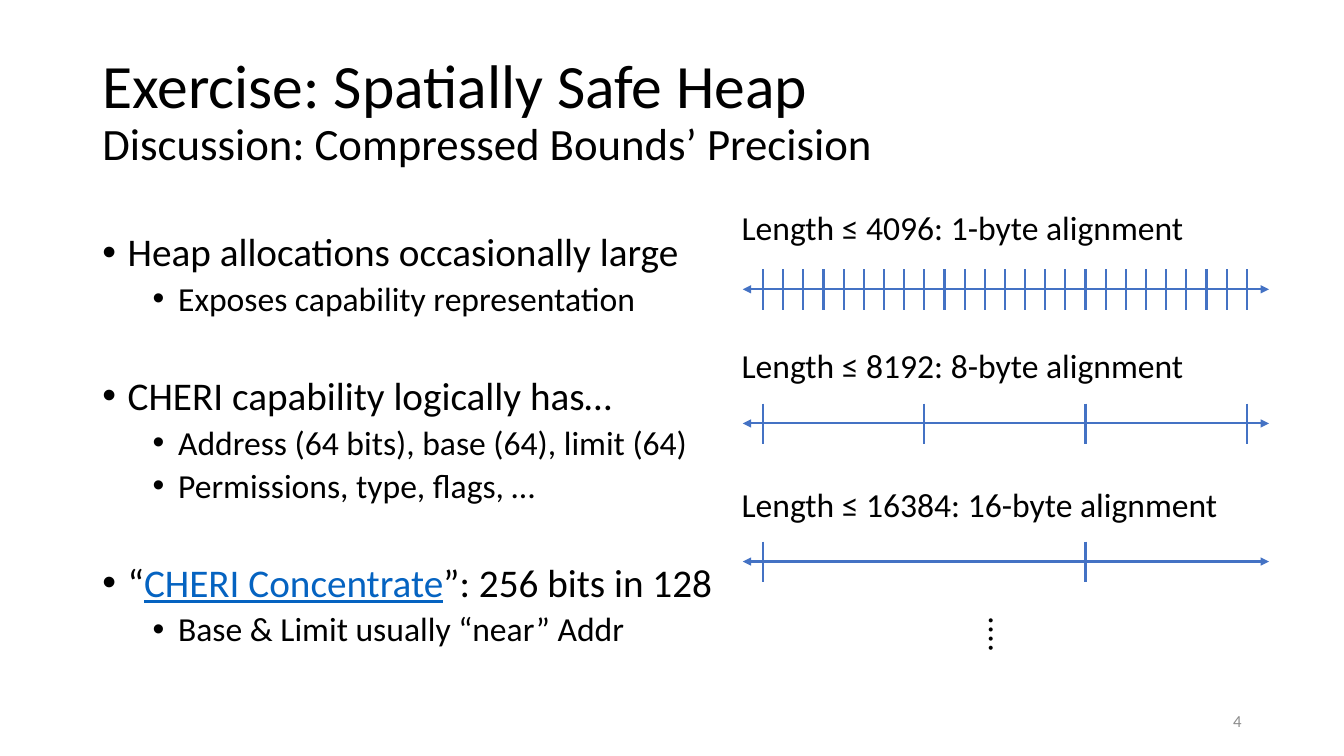
import pptx
import pptx.util
import pptx.dml.color
import pptx.enum.shapes
import pptx.enum.text
from lxml import etree

Cm, Pt = pptx.util.Cm, pptx.util.Pt
ALIGN = pptx.enum.text.PP_ALIGN
ANCHOR = pptx.enum.text.MSO_ANCHOR
NS = "{http://schemas.openxmlformats.org/drawingml/2006/main}"

COLORS = {"text": "000000", "line": "4472C4", "link": "0563C1", "page": "8C8C8C"}

# Bullet levels: font size, indent and spacing
LEVELS = [
    {"size": 28, "left": 0.64, "before": 10},
    {"size": 24, "left": 1.91, "before": 5},
]
HANG = 0.64
GAP = 31.5  # extra points above each later topic

TOPICS = [
    ([("Heap allocations occasionally large", "text")],
     ["Exposes capability representation"]),
    ([("CHERI capability logically has…", "text")],
     ["Address (64 bits), base (64), limit (64)", "Permissions, type, flags, …"]),
    ([("“", "text"), ("CHERI Concentrate", "link"), ("”: 256 bits in 128", "text")],
     ["Base & Limit usually “near” Addr"]),
]

# Scales: label, label top, axis height, units between ticks
SCALES = [
    ("Length ≤ 4096: 1-byte alignment", 0, 2.21, 1),
    ("Length ≤ 8192: 8-byte alignment", 3.48, 5.59, 8),
    ("Length ≤ 16384: 16-byte alignment", 6.98, 9.07, 16),
]
UNITS = 24


def tint(name):
    return pptx.dml.color.RGBColor.from_string(COLORS[name])


def apply(item, style):
    for key, value in style.items():
        setattr(item, key, value)


def add_run(para, text, size, color="text"):
    run = para.add_run()
    run.text = text
    apply(run.font, {"size": Pt(size), "name": "Calibri", "underline": color == "link"})
    run.font.color.rgb = tint(color)


def add_frame(slide, box, **style):
    frame = slide.shapes.add_textbox(*map(Cm, box)).text_frame
    apply(frame, {"word_wrap": True, **style})
    return frame


def add_line(slide, start, end, arrows=False):
    line = slide.shapes.add_connector(
        pptx.enum.shapes.MSO_CONNECTOR.STRAIGHT, *map(Cm, start + end))
    line.line.width = Pt(1.5)
    line.line.color.rgb = tint("line")
    if arrows:
        for tag in ("headEnd", "tailEnd"):
            etree.SubElement(line.line._get_or_add_ln(), NS + tag, type="triangle")
    etree.SubElement(line._element.spPr, NS + "effectLst")


def add_title(slide, box):
    para = add_frame(slide, box, vertical_anchor=ANCHOR.MIDDLE).paragraphs[0]
    para.line_spacing = 0.9
    add_run(para, "Exercise: Spatially Safe Heap", 44)
    para.add_line_break()
    add_run(para, "Discussion: Compressed Bounds’ Precision", 32)


def add_topics(slide, box):
    frame = add_frame(slide, box, vertical_anchor=ANCHOR.MIDDLE)
    rows = []
    for head, subs in TOPICS:
        rows.append((0, head, GAP if rows else 0))
        rows += [(1, [(sub, "text")], 0) for sub in subs]
    for index, (depth, runs, gap) in enumerate(rows):
        para = frame.add_paragraph() if index else frame.paragraphs[0]
        form = LEVELS[depth]
        apply(para, {"level": depth, "line_spacing": 0.9,
                     "space_before": Pt(form["before"] + gap)})
        props = para._p.get_or_add_pPr()
        props.set("marL", str(Cm(form["left"])))
        props.set("indent", str(-Cm(HANG)))
        etree.SubElement(props, NS + "buFont", typeface="Arial")
        etree.SubElement(props, NS + "buChar", char="•")
        for text, color in runs:
            add_run(para, text, form["size"], color)


def add_scales(slide, box):
    left, top, width, height = box
    start, end = left + 0.28, left + width
    first, span = start + 0.51, 12.19
    for label, drop, axis, step in SCALES:
        frame = add_frame(slide, (left, top + drop, width, 1.27), word_wrap=False)
        add_run(frame.paragraphs[0], label, 24)
        y = top + axis
        add_line(slide, (start, y), (end, y), arrows=True)
        for unit in range(0, UNITS + 1, step):
            x = first + span * unit / UNITS
            add_line(slide, (x, y - 0.5), (x, y + 0.52))
    # Dots below the last scale
    frame = add_frame(slide, (left + 6.17, top + height - 1.27, 0.74, 1.27), word_wrap=False)
    add_run(frame.paragraphs[0], "⁞", 24)


def add_page(slide, box):
    para = add_frame(slide, box, vertical_anchor=ANCHOR.MIDDLE).paragraphs[0]
    para.alignment = ALIGN.RIGHT
    add_run(para, "4", 12, "page")


def main():
    deck = pptx.Presentation()
    apply(deck, {"slide_width": Cm(33.87), "slide_height": Cm(19.05)})
    slide = deck.slides.add_slide(deck.slide_layouts[6])
    add_title(slide, (2.33, 1.01, 29.21, 3.68))
    add_topics(slide, (2.33, 5.07, 16.13, 12.09))
    add_scales(slide, (18.44, 5.08, 13.54, 11.46))
    add_page(slide, (23.92, 17.66, 7.62, 1.01))
    deck.save("out.pptx")


if __name__ == "__main__":
    main()
